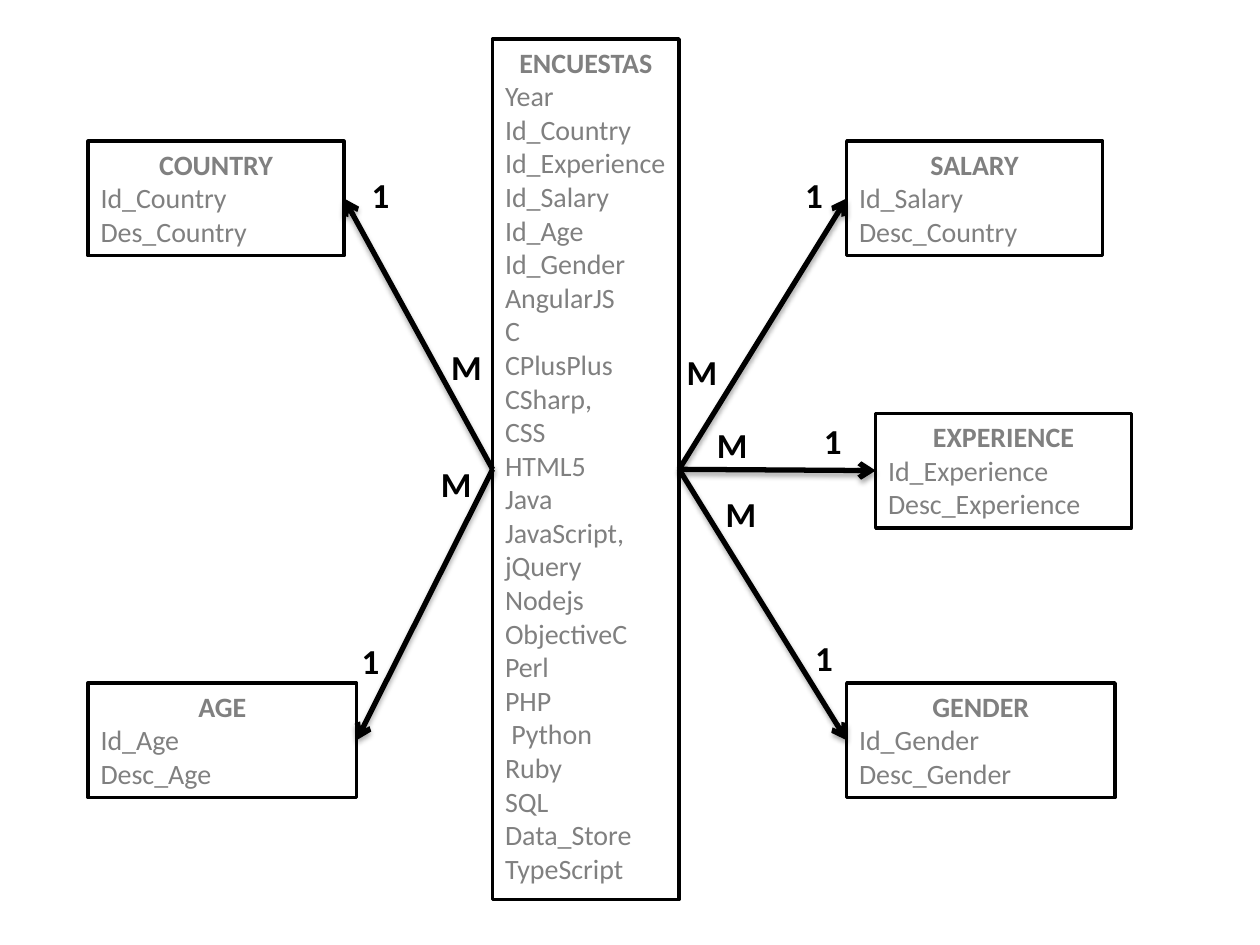
"""Entity diagram of a survey table linked to five lookup tables."""
from lxml import etree
from pptx import Presentation, util as u
from pptx.dml.color import RGBColor
from pptx.enum import shapes, text
from pptx.oxml.ns import qn

COLORS = {"paper": "FFFFFF", "ink": "000000", "field": "808080"}
FONT = "Calibri"
LEFT_SITE, RIGHT_SITE = 1, 3
HUB_BOX = (3.91, 0.31, 1.48, 6.83)
ENTITY_HEIGHT = 0.91
LABEL_SIZE = (0.16, 0.44)
TOP_ROW, MIDDLE_ROW, BOTTOM_ROW = 1.12, 3.28, 5.42
LEFT_COLUMN, RIGHT_COLUMN, FAR_COLUMN = 0.7, 6.72, 6.95

HUB = ("ENCUESTAS", [
    "Year", "Id_Country", "Id_Experience", "Id_Salary", "Id_Age", "Id_Gender",
    "AngularJS", "C", "CPlusPlus", "CSharp,", "CSS", "HTML5", "Java",
    "JavaScript,", "jQuery", "Nodejs", "ObjectiveC", "Perl", "PHP", " Python",
    "Ruby", "SQL", "Data_Store", "TypeScript",
])
ENTITIES = [
    ("COUNTRY", ["Id_Country", "Des_Country"], LEFT_COLUMN, TOP_ROW, 2.03),
    ("AGE", ["Id_Age", "Desc_Age"], LEFT_COLUMN, BOTTOM_ROW, 2.13),
    ("SALARY", ["Id_Salary", "Desc_Country"], RIGHT_COLUMN, TOP_ROW, 2.03),
    ("GENDER", ["Id_Gender", "Desc_Gender"], RIGHT_COLUMN, BOTTOM_ROW, 2.13),
    ("EXPERIENCE", ["Id_Experience", "Desc_Experience"], FAR_COLUMN, MIDDLE_ROW, 2.03),
]
CARDINALITIES = {
    "1": [(2.89, 1.33), (6.41, 5), (6.48, 3.28), (6.33, 1.33), (2.81, 5.03)],
    "M": [(3.52, 2.69), (3.44, 3.62), (5.39, 2.73), (5.63, 3.31), (5.7, 3.86)],
}


def rgb(name):
    return RGBColor.from_string(COLORS[name])


def write(paragraph, words, size=16, color="field", bold=False, align=text.PP_ALIGN.LEFT):
    paragraph.alignment = align
    run = paragraph.add_run()
    run.text = words
    run.font.name, run.font.size, run.font.bold = FONT, u.Pt(size), bold
    run.font.color.rgb = rgb(color)


def add_entity(slide, name, fields, box):
    entity = slide.shapes.add_shape(shapes.MSO_SHAPE.RECTANGLE, *map(u.Inches, box))
    entity.shadow.inherit = False
    entity.fill.solid()
    entity.fill.fore_color.rgb = rgb("paper")
    entity.line.color.rgb = rgb("ink")
    entity.line.width = u.Pt(2)
    frame = entity.text_frame
    frame.word_wrap = True
    frame.vertical_anchor = text.MSO_ANCHOR.TOP
    write(frame.paragraphs[0], name, bold=True, align=text.PP_ALIGN.CENTER)
    for field in fields:
        write(frame.add_paragraph(), field)
    return entity


def add_relation(slide, hub, entity):
    to_right = entity.left > hub.left
    relation = slide.shapes.add_connector(shapes.MSO_CONNECTOR.STRAIGHT, 0, 0, 0, 0)
    relation.begin_connect(hub, RIGHT_SITE if to_right else LEFT_SITE)
    relation.end_connect(entity, LEFT_SITE if to_right else RIGHT_SITE)
    relation.line.color.rgb = rgb("ink")
    relation.line.width = u.Pt(3)
    etree.SubElement(relation.line._get_or_add_ln(), qn("a:tailEnd"), type="arrow")
    effects = etree.SubElement(relation._element.spPr, qn("a:effectLst"))
    shadow = etree.SubElement(effects, qn("a:outerShdw"), blurRad=str(u.Pt(3.1)),
                              dist=str(u.Pt(1.8)), dir="5400000", rotWithShape="0")
    tint = etree.SubElement(shadow, qn("a:srgbClr"), val=COLORS["ink"])
    etree.SubElement(tint, qn("a:alpha"), val="35000")


def add_cardinality(slide, symbol, corner):
    label = slide.shapes.add_textbox(*map(u.Inches, corner + LABEL_SIZE))
    frame = label.text_frame
    frame.word_wrap = True
    frame.margin_left, frame.margin_right = u.Inches(0.06), 0
    write(frame.paragraphs[0], symbol, size=20, color="ink", bold=True)


def main():
    deck = Presentation()
    deck.slide_width, deck.slide_height = u.Inches(10), u.Inches(7.5)
    slide = deck.slides.add_slide(deck.slide_layouts[6])
    hub = add_entity(slide, *HUB, HUB_BOX)
    entities = [add_entity(slide, name, fields, (left, top, width, ENTITY_HEIGHT))
                for name, fields, left, top, width in ENTITIES]
    for entity in entities:
        add_relation(slide, hub, entity)
    for symbol, corners in CARDINALITIES.items():
        for corner in corners:
            add_cardinality(slide, symbol, corner)
    deck.save("out.pptx")


if __name__ == "__main__":
    main()
